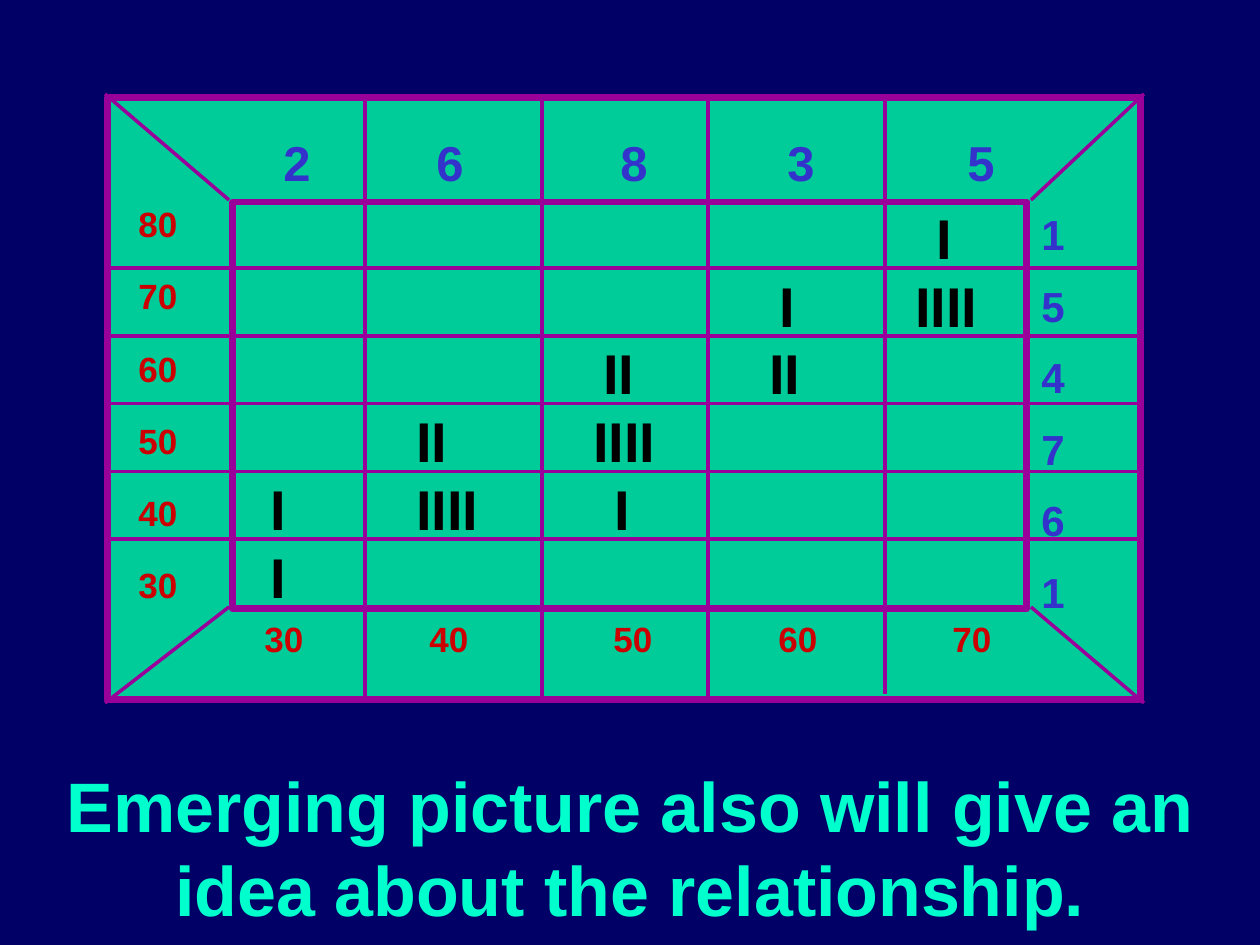
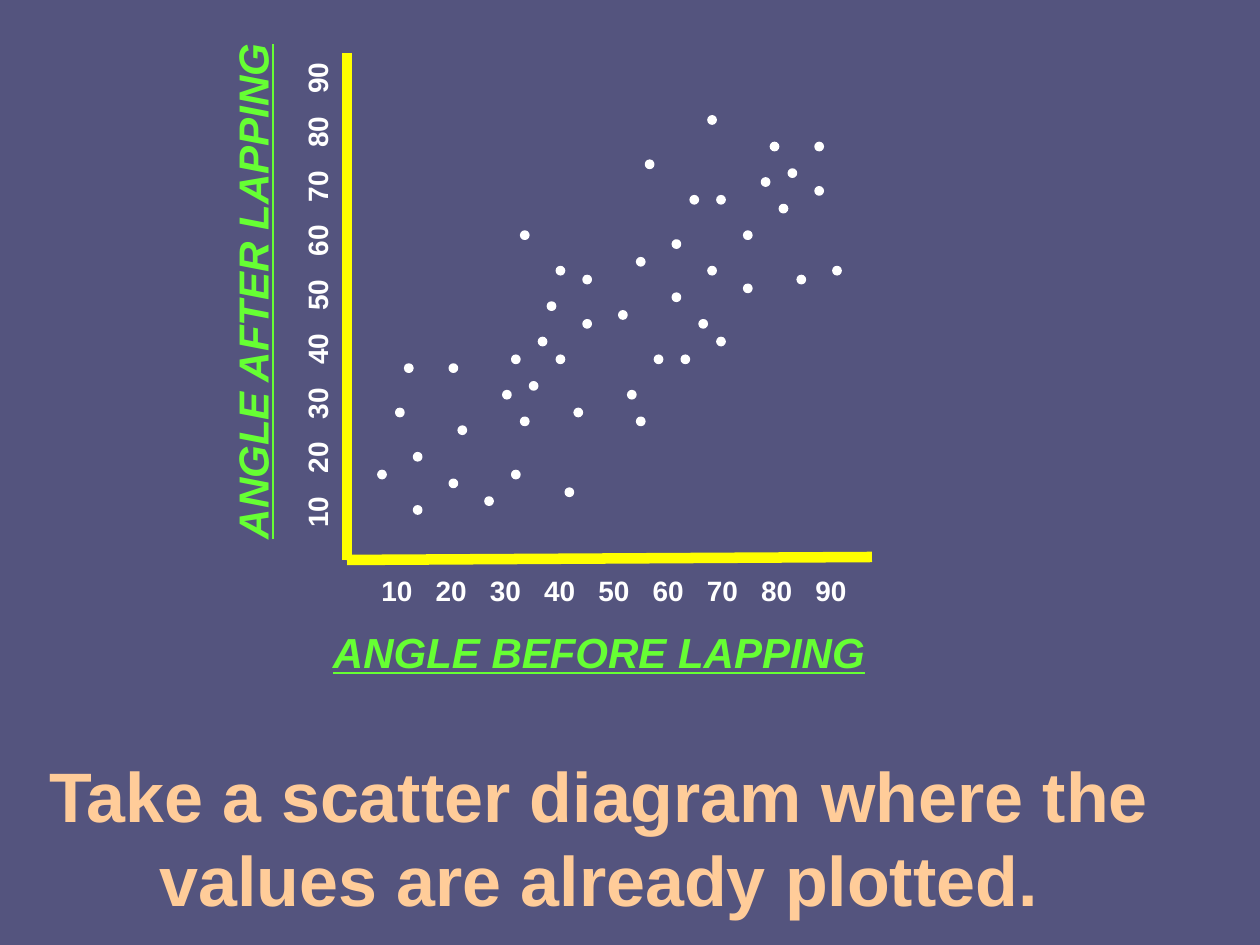
"""Build two slides on correlation: a tally grid and a scatter diagram."""
from dataclasses import dataclass

from lxml import etree
from pptx import Presentation
from pptx.dml.color import RGBColor
from pptx.enum.shapes import MSO_CONNECTOR, MSO_SHAPE
from pptx.enum.text import PP_ALIGN
from pptx.oxml.ns import qn
from pptx.util import Emu, Pt

LEFT, CENTER = PP_ALIGN.LEFT, PP_ALIGN.CENTER
STRAIGHT = MSO_CONNECTOR.STRAIGHT
RECTANGLE, OVAL = MSO_SHAPE.RECTANGLE, MSO_SHAPE.OVAL


@dataclass(frozen=True)
class Theme:
    """Colours, font and type sizes of the slides."""
    font: str = "Arial"
    navy: str = "000066"
    slate: str = "54547E"
    aqua: str = "00FFCC"
    peach: str = "FFCC99"
    green: str = "00CC99"
    purple: str = "990099"
    red: str = "CC0000"
    blue: str = "3333CC"
    black: str = "000000"
    lime: str = "66FF33"
    yellow: str = "FFFF00"
    white: str = "FFFFFF"
    title_size: int = 40
    tally_size: int = 32
    column_total_size: int = 28
    heading_size: int = 24
    class_size: int = 20
    scale_size: int = 16


THEME = Theme()
PX_PER_INCH = 126
SLIDE_SIZE = (1260, 945)

TALLY_TITLE = "Emerging picture also will give an idea about the relationship."
ROW_CLASSES = ["80", "70", "60", "50", "40", "30"]
ROW_TOTALS = ["1", "5", "4", "7", "6", "1"]
COLUMN_CLASSES = ["30", "40", "50", "60", "70"]
COLUMN_TOTALS = ["2", "6", "8", "3", "5"]
COLUMN_CLASS_TABS = [165, 349, 514, 688]
COLUMN_TOTAL_TABS = [153, 337, 504, 684]
TALLIES = [
    [(924, "I")],
    [(767, "I"), (903, "IIII")],
    [(591, "II"), (757, "II")],
    [(404, "II"), (581, "IIII")],
    [(258, "I"), (404, "IIII"), (602, "I")],
    [(258, "I")],
]
OUTER_FRAME = (108, 98, 1033, 602)
INNER_FRAME = (233, 202, 794, 407)
GRID_LEFT, GRID_TOP, GRID_RIGHT, GRID_BOTTOM = 105, 94, 1144, 703
CORE_LEFT, CORE_TOP, CORE_RIGHT, CORE_BOTTOM = 229, 200, 1031, 607
COLUMN_LINES = [(365, GRID_BOTTOM), (542, GRID_BOTTOM), (708, GRID_BOTTOM), (885, 694)]
FIRST_ROW_LINE, FIRST_TALLY_TOP, ROWS_SPAN = 268, 197, 339

SCATTER_TITLE = "Take a scatter diagram where the values are already plotted."
AXIS_TITLES = [
    ("ANGLE AFTER LAPPING", (-24, 244, 552, 63), LEFT, 270),
    ("ANGLE BEFORE LAPPING", (284, 620, 630, 63), CENTER, 0),
]
SCALE_VALUES = [str(value) for value in range(10, 100, 10)]
SCALE_SPAN = 434
SCALES = [((369, 567, 491, 47), 0), ((72, 271, 491, 47), 270)]
AXES = [((347, 53), (347, 560)), ((347, 560), (872, 557))]
DOT_COLUMNS_BY_ROW = {
    0: [37], 3: [44, 49], 5: [30], 6: [46], 7: [43], 8: [49], 9: [35, 38],
    10: [45], 13: [16, 41], 14: [33], 16: [29], 17: [20, 37, 51], 18: [23, 47],
    19: [41], 20: [33], 21: [19], 22: [27], 23: [23, 36], 25: [18, 38],
    27: [15, 20, 31, 34], 28: [3, 8], 30: [17], 31: [14, 28], 33: [2, 22],
    34: [16, 29], 35: [9], 38: [4], 40: [0, 15], 41: [8], 42: [21], 43: [12],
    44: [4],
}
DOT_LEFT, DOT_TOP, DOT_SIZE = 378, 116, 8
DOT_STEP_X, DOT_STEP_Y = 455 / 51, 390 / 44


def px(length):
    """Turn px into EMU."""
    return Emu(round(length * 914400 / PX_PER_INCH))


def color(value):
    """Turn a hex string into a colour."""
    return RGBColor.from_string(value)


def add_slide(presentation, background):
    """Add a blank slide with a plain background."""
    slide = presentation.slides.add_slide(presentation.slide_layouts[6])
    slide.background.fill.solid()
    slide.background.fill.fore_color.rgb = color(background)
    return slide


def add_tabs(paragraph, stops):
    """Give a paragraph left tab stops."""
    tab_list = etree.SubElement(paragraph._p.get_or_add_pPr(), qn("a:tabLst"))
    for stop in stops:
        etree.SubElement(tab_list, qn("a:tab"), pos=str(px(stop)), algn="l")


def add_text(slide, box, lines, size, ink, align=LEFT, tabs=(), wrap=True,
             rotation=0, slanted=False, before=0, spacing=None):
    """Add a bold text box with one paragraph per line."""
    shape = slide.shapes.add_textbox(*map(px, box))
    shape.rotation = rotation
    frame = shape.text_frame
    frame.word_wrap = wrap
    if tabs:
        frame.margin_right = 0
    for index, line in enumerate(lines):
        paragraph = frame.add_paragraph() if index else frame.paragraphs[0]
        paragraph.text = line
        if tabs:
            add_tabs(paragraph, tabs)
        paragraph.alignment = align
        if spacing:
            paragraph.line_spacing = spacing
        if index and before:
            paragraph.space_before = Pt(before)
        font = paragraph.font
        font.name, font.size, font.bold = THEME.font, Pt(size), True
        font.color.rgb = color(ink)
        if slanted:
            font.italic = font.underline = True
    return shape


def add_title(slide, box, text, ink):
    """Add the large centred statement at the foot of a slide."""
    add_text(slide, box, [text], THEME.title_size, ink, CENTER)


def add_shape(slide, kind, box, fill, line, width):
    """Add a filled and outlined preset shape."""
    shape = slide.shapes.add_shape(kind, *map(px, box))
    shape.shadow.inherit = False
    shape.fill.solid()
    shape.fill.fore_color.rgb = color(fill)
    shape.line.color.rgb = color(line)
    shape.line.width = Pt(width)


def add_line(slide, start, end, ink, width):
    """Add a straight line without shadow."""
    line = slide.shapes.add_connector(STRAIGHT, *map(px, start + end))
    line.line.color.rgb = color(ink)
    line.line.width = Pt(width)
    etree.SubElement(line._element.spPr, qn("a:effectLst"))


def add_grid(slide):
    """Draw the frames, the grid lines and the corner lines."""
    for frame in (OUTER_FRAME, INNER_FRAME):
        add_shape(slide, RECTANGLE, frame, THEME.green, THEME.purple, 4)
    row_step = ROWS_SPAN / 5
    lines = [((x, GRID_TOP), (x, bottom)) for x, bottom in COLUMN_LINES]
    for index in range(5):
        y = FIRST_ROW_LINE + index * row_step
        lines.append(((GRID_LEFT, y), (GRID_RIGHT, y)))
    for core_x, grid_x in ((CORE_LEFT, GRID_LEFT), (CORE_RIGHT, GRID_RIGHT)):
        for core_y, grid_y in ((CORE_TOP, GRID_TOP), (CORE_BOTTOM, GRID_BOTTOM)):
            lines.append(((core_x, core_y), (grid_x, grid_y)))
    for start, end in lines:
        add_line(slide, start, end, THEME.purple, 2)


def build_tally_slide(presentation):
    """Build the slide with the tally grid."""
    slide = add_slide(presentation, THEME.navy)
    add_title(slide, (0, 756, 1260, 180), TALLY_TITLE, THEME.aqua)
    add_grid(slide)
    add_text(slide, (126, 188, 83, 425), ROW_CLASSES, THEME.class_size, THEME.red,
             before=12.5, spacing=1.2)
    add_text(slide, (252, 611, 753, 54), ["\t".join(COLUMN_CLASSES)],
             THEME.class_size, THEME.red, tabs=COLUMN_CLASS_TABS)
    for row, marks in enumerate(TALLIES):
        top = FIRST_TALLY_TOP + row * ROWS_SPAN / 5
        for left, strokes in marks:
            width = 26 + 16 * len(strokes)
            add_text(slide, (left, top, width, 79), [strokes], THEME.tally_size,
                     THEME.black, wrap=False)
    add_text(slide, (271, 126, 810, 72), ["\t".join(COLUMN_TOTALS)],
             THEME.column_total_size, THEME.blue, tabs=COLUMN_TOTAL_TABS)
    add_text(slide, (1029, 208, 84, 416), ROW_TOTALS, THEME.heading_size, THEME.blue,
             before=15, spacing=0.9)


def build_scatter_slide(presentation):
    """Build the slide with the scatter diagram."""
    slide = add_slide(presentation, THEME.slate)
    add_title(slide, (0, 746, 1197, 180), SCATTER_TITLE, THEME.peach)
    for start, end in AXES:
        add_line(slide, start, end, THEME.yellow, 6)
    for text, box, align, rotation in AXIS_TITLES:
        add_text(slide, box, [text], THEME.heading_size, THEME.lime, align,
                 rotation=rotation, slanted=True)
    steps = len(SCALE_VALUES) - 1
    tabs = [SCALE_SPAN * index / steps for index in range(1, steps + 1)]
    for box, rotation in SCALES:
        add_text(slide, box, ["\t".join(SCALE_VALUES)], THEME.scale_size, THEME.white,
                 tabs=tabs, rotation=rotation)
    for row, columns in DOT_COLUMNS_BY_ROW.items():
        for column in columns:
            box = (DOT_LEFT + column * DOT_STEP_X, DOT_TOP + row * DOT_STEP_Y,
                   DOT_SIZE, DOT_SIZE)
            add_shape(slide, OVAL, box, THEME.white, THEME.white, 1)


def main():
    """Build and save the presentation."""
    presentation = Presentation()
    presentation.slide_width, presentation.slide_height = map(px, SLIDE_SIZE)
    build_tally_slide(presentation)
    build_scatter_slide(presentation)
    presentation.save("out.pptx")


if __name__ == "__main__":
    main()
